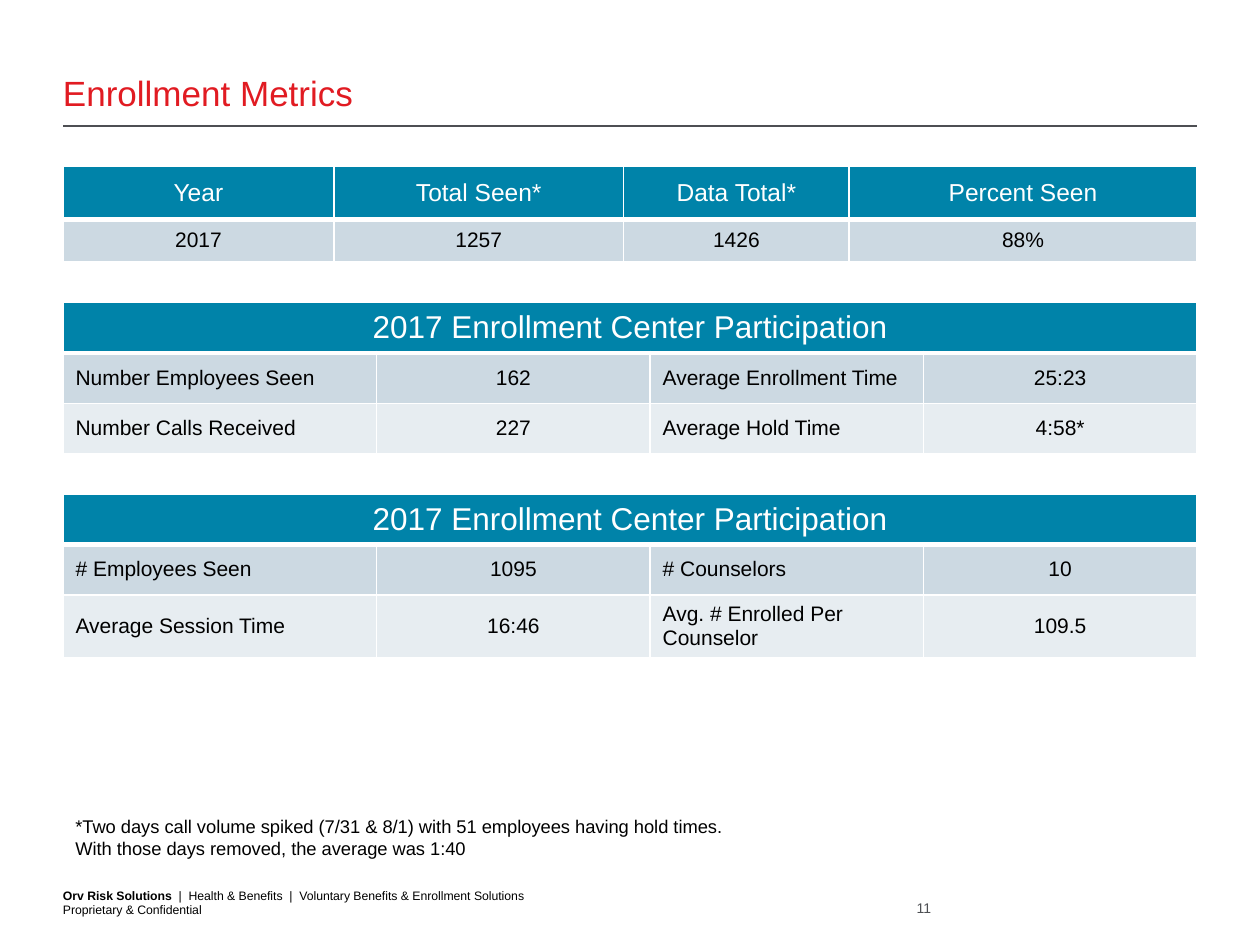
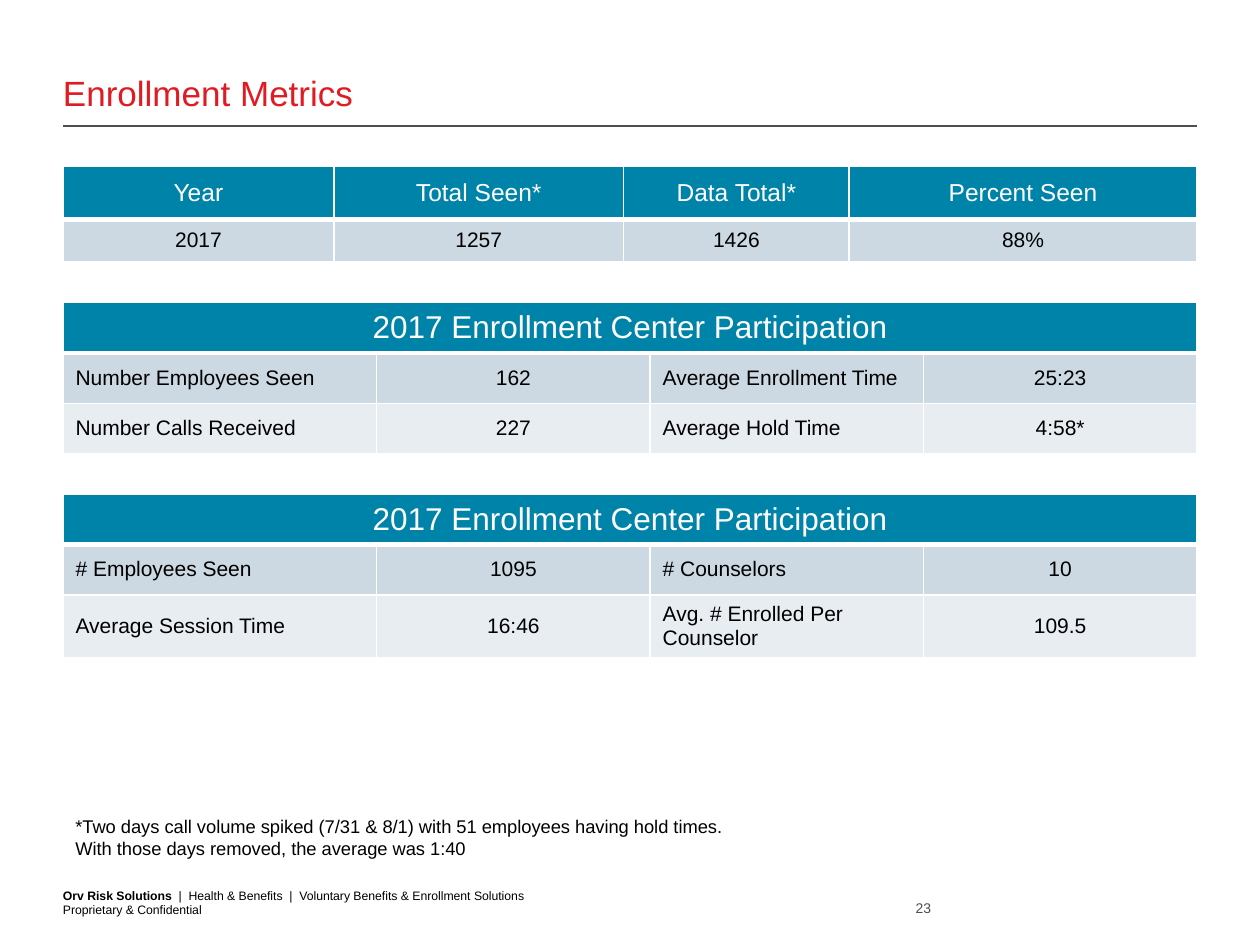
import pptx
import pptx.dml.color
import pptx.enum.shapes
import pptx.enum.text
import pptx.oxml
import pptx.util
from lxml import etree

Inches = pptx.util.Inches
Pt = pptx.util.Pt
ALIGN = pptx.enum.text.PP_ALIGN
ANCHOR = pptx.enum.text.MSO_ANCHOR

FONT = "Arial"
RED, TEAL, GRAY = "E11B22", "0083A9", "4D4F53"
BLACK, WHITE = "000000", "FFFFFF"
BANDS = ["CCD9E2", "E7EDF1"]
LEFT, WIDTH = 0.5, 9
DRAWING = "http://schemas.openxmlformats.org/drawingml/2006/main"

PAGE_NUMBERS = ["11", "23"]
CENTER_COLUMNS = [2.49, 2.17, 2.17, 2.17]
CENTER_TITLE = "2017 Enrollment Center Participation"
# top, column widths, row heights, header size, cell texts
TABLES = [
    (1.32, [2.15, 2.3, 1.79, 2.76], [0.42, 0.34], 14, [
        ["Year", "Total Seen*", "Data Total*", "Percent Seen"],
        ["2017", "1257", "1426", "88%"]]),
    (2.4, CENTER_COLUMNS, [0.4, 0.4, 0.4], 18, [
        [CENTER_TITLE],
        ["Number Employees Seen", "162", "Average Enrollment Time", "25:23"],
        ["Number Calls Received", "227", "Average Hold Time", "4:58*"]]),
    (3.92, CENTER_COLUMNS, [0.4, 0.4, 0.5], 18, [
        [CENTER_TITLE],
        ["# Employees Seen", "1095", "# Counselors", "10"],
        ["Average Session Time", "16:46", "Avg. # Enrolled Per Counselor", "109.5"]]),
]
NOTE = ["*Two days call volume spiked (7/31 & 8/1) with 51 employees having hold times.",
        "With those days removed, the average was 1:40"]


def rgb(hex_color):
    return pptx.dml.color.RGBColor.from_string(hex_color)


def add_text(slide, box, lines, size, color, inset=True, align=ALIGN.LEFT):
    """Add a text box; without inset the text sits flush on the box's bottom edge."""
    frame = slide.shapes.add_textbox(*[Inches(length) for length in box]).text_frame
    frame.word_wrap = True
    if not inset:
        frame.margin_left = frame.margin_right = frame.margin_top = frame.margin_bottom = 0
        frame.vertical_anchor = ANCHOR.BOTTOM
    frame.text = "\n".join(lines)
    for paragraph in frame.paragraphs:
        paragraph.alignment = align
        paragraph.font.name = FONT
        paragraph.font.size = Pt(size)
        paragraph.font.color.rgb = rgb(color)
    return frame


presentation = pptx.Presentation()
presentation.slide_width, presentation.slide_height = Inches(10), Inches(7.5)

for page_number in PAGE_NUMBERS:
    slide = presentation.slides.add_slide(presentation.slide_layouts[6])

    # Title, rule and footer
    add_text(slide, (LEFT, 0.33, WIDTH, 0.57), ["Enrollment Metrics"], 20, RED, inset=False)
    rule = slide.shapes.add_connector(pptx.enum.shapes.MSO_CONNECTOR.STRAIGHT,
                                      Inches(LEFT), Inches(1), Inches(LEFT + WIDTH), Inches(1))
    rule.line.color.rgb = rgb(GRAY)
    rule.line.width = Pt(0.75)
    etree.SubElement(rule._element.spPr, f"{{{DRAWING}}}effectLst")

    footer = add_text(slide, (LEFT, 7.04, 6.6, 0.24), [""], 7, BLACK, inset=False).paragraphs[0]
    business = footer.add_run()
    business.text = "Orv Risk Solutions  "
    business.font.bold = True
    footer.add_run().text = "|  Health & Benefits  |  Voluntary Benefits & Enrollment Solutions"
    footer.add_line_break()
    footer.add_run().text = "Proprietary & Confidential"
    add_text(slide, (7, 7.14, 0.39, 0.13), [page_number], 8, GRAY, inset=False, align=ALIGN.RIGHT)

    # Tables
    for top, column_widths, row_heights, header_size, rows in TABLES:
        table = slide.shapes.add_table(len(rows), len(column_widths), Inches(LEFT), Inches(top),
                                       Inches(WIDTH), Inches(sum(row_heights))).table
        for column, width in zip(table.columns, column_widths):
            column.width = Inches(width)
        for row, height in zip(table.rows, row_heights):
            row.height = Inches(height)
        spanning_header = len(rows[0]) == 1
        if spanning_header:
            table.cell(0, 0).merge(table.cell(0, len(column_widths) - 1))

        for row_index, texts in enumerate(rows):
            is_header = row_index == 0
            for column_index in range(len(column_widths)):
                cell = table.cell(row_index, column_index)
                for side in "LRTB":
                    border_width = Pt(3 if is_header and side == "B" else 1)
                    cell._tc.get_or_add_tcPr().append(pptx.oxml.parse_xml(
                        f'<a:ln{side} xmlns:a="{DRAWING}" w="{border_width}"><a:solidFill>'
                        f'<a:srgbClr val="{WHITE}"/></a:solidFill></a:ln{side}>'))
                cell.fill.solid()
                cell.fill.fore_color.rgb = rgb(TEAL if is_header else BANDS[row_index - 1])
                cell.vertical_anchor = ANCHOR.MIDDLE
                if column_index >= len(texts):
                    continue
                cell.text = texts[column_index]
                paragraph = cell.text_frame.paragraphs[0]
                is_label = spanning_header and not is_header and column_index % 2 == 0
                paragraph.alignment = ALIGN.LEFT if is_label else ALIGN.CENTER
                paragraph.font.name = FONT
                paragraph.font.bold = False
                paragraph.font.size = Pt(header_size if is_header else 12)
                paragraph.font.color.rgb = rgb(WHITE if is_header else BLACK)

    add_text(slide, (LEFT, 6.42, 7.5, 0.45), NOTE, 10.5, BLACK)

presentation.save("out.pptx")
